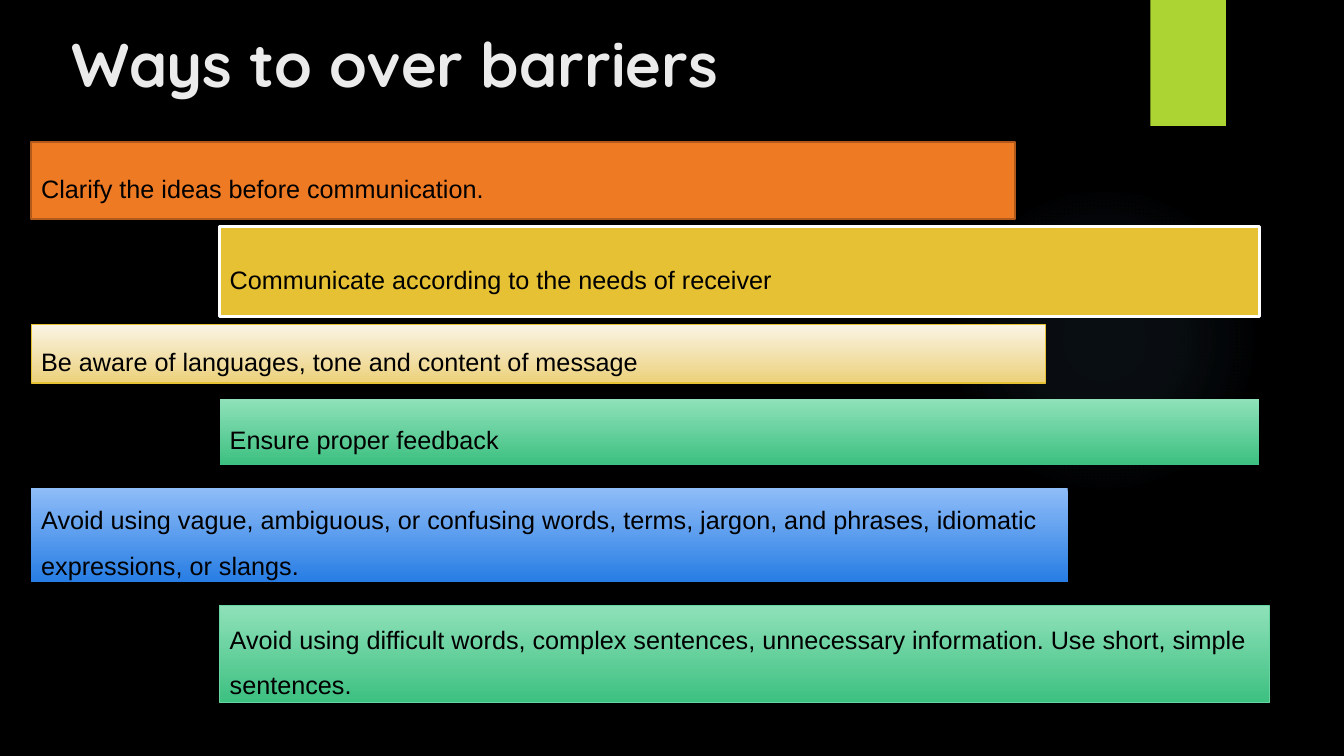
"""Build the slide of ways to get over communication barriers."""
import lxml.etree
import pptx
import pptx.dml.color
import pptx.enum.shapes
import pptx.enum.text
import pptx.oxml
import pptx.oxml.ns
import pptx.util

PX = 9144
LEFT, INDENTED = 31, 218
TIPS = [
    ("Clarify the ideas before communication.",
     (LEFT, 141, 976, 76), ["EF7A24"], ("B15A1B", 1.5)),
    ("Communicate according to the needs of receiver",
     (INDENTED, 225, 1031, 89), ["E6C133"], ("FFFFFF", 2.25)),
    ("Be aware of languages, tone and content of message",
     (LEFT, 322, 1006, 58), ["FAF4E5", "ECD17B"], ("E6C133", 0.75)),
    ("Ensure proper feedback",
     (INDENTED, 396, 1031, 65), ["8FE1B9", "3DC081"], None),
    ("Avoid using vague, ambiguous, or confusing words, terms, jargon, "
     "and phrases, idiomatic expressions, or slangs.",
     (LEFT, 484, 1028, 93), ["8FBDF8", "287DE4"], None),
    ("Avoid using difficult words, complex sentences, unnecessary information. "
     "Use short, simple sentences.",
     (INDENTED, 601, 1041, 96), ["8FE1B9", "3DC081"], ("65D6A0", 0.75)),
]


def px(length):
    return pptx.util.Emu(length * PX)


def color(value):
    return pptx.dml.color.RGBColor.from_string(value)


def write_text(holder, text, size, font, ink, bold=False, spacing=None):
    frame = holder.text_frame
    frame.word_wrap = True
    frame.auto_size = pptx.enum.text.MSO_AUTO_SIZE.NONE
    frame.vertical_anchor = pptx.enum.text.MSO_ANCHOR.MIDDLE
    paragraph = frame.paragraphs[0]
    paragraph.alignment = pptx.enum.text.PP_ALIGN.LEFT
    paragraph.line_spacing = spacing
    run = paragraph.add_run()
    run.text = text
    run.font.size = pptx.util.Pt(size)
    run.font.name = font
    run.font.bold = bold
    run.font.color.rgb = color(ink)


def add_block(slide, box, fills, outline=None, kind="RECTANGLE"):
    preset = pptx.enum.shapes.MSO_SHAPE[kind]
    block = slide.shapes.add_shape(preset, *map(px, box))
    block.shadow.inherit = False
    if len(fills) == 1:
        block.fill.solid()
        block.fill.fore_color.rgb = color(fills[0])
    else:
        block.fill.gradient()
        block.fill.gradient_angle = 270
        for stop, shade in zip(block.fill.gradient_stops, fills):
            stop.color.rgb = color(shade)
    if outline:
        block.line.color.rgb = color(outline[0])
        block.line.width = pptx.util.Pt(outline[1])
    else:
        block.line.fill.background()
    return block


def add_glow(slide, box, tint, stops):
    glow = add_block(slide, box, [tint], kind="OVAL")
    stop_xml = "".join(
        f'<a:gs pos="{position * 1000}"><a:srgbClr val="{tint}">'
        f'<a:alpha val="{alpha * 1000}"/></a:srgbClr></a:gs>'
        for position, alpha in stops)
    gradient = pptx.oxml.parse_xml(
        f'<a:gradFill {pptx.oxml.ns.nsdecls("a")}><a:gsLst>{stop_xml}</a:gsLst>'
        '<a:path path="circle"><a:fillToRect l="50000" t="50000" '
        'r="50000" b="50000"/></a:path></a:gradFill>')
    properties = glow.element.spPr
    properties.replace(properties.find(pptx.oxml.ns.qn("a:solidFill")), gradient)


def main():
    deck = pptx.Presentation()
    deck.slide_width, deck.slide_height = px(1333), px(750)
    slide = deck.slides.add_slide(deck.slide_layouts[5])
    slide.background.fill.solid()
    slide.background.fill.fore_color.rgb = color("000000")

    add_glow(slide, (941, 183, 308, 308), "7AC4F0", [(0, 7), (36, 6), (69, 0)])
    add_block(slide, (1141, 0, 75, 125), ["ACD433"])

    title = slide.shapes.title
    title.left, title.top, title.width, title.height = map(px, (61, 22, 1029, 81))
    write_text(title, "Ways to over barriers", size=44, font="Quicksand",
               ink="EBEBEB", bold=True)

    for text, box, fills, outline in TIPS:
        tip = add_block(slide, box, fills, outline)
        write_text(tip, text, size=18, font="Arial", ink="000000", spacing=1.5)
    deck.save("out.pptx")


if __name__ == "__main__":
    main()
